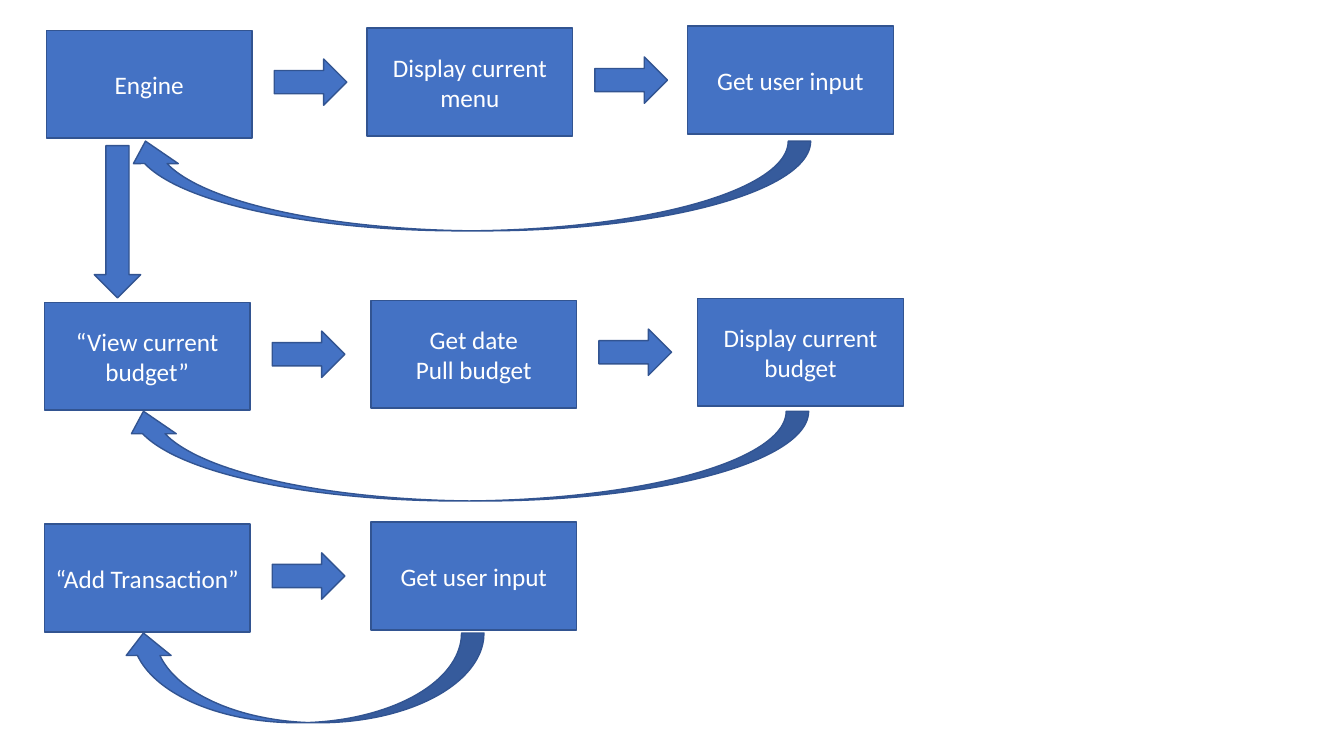
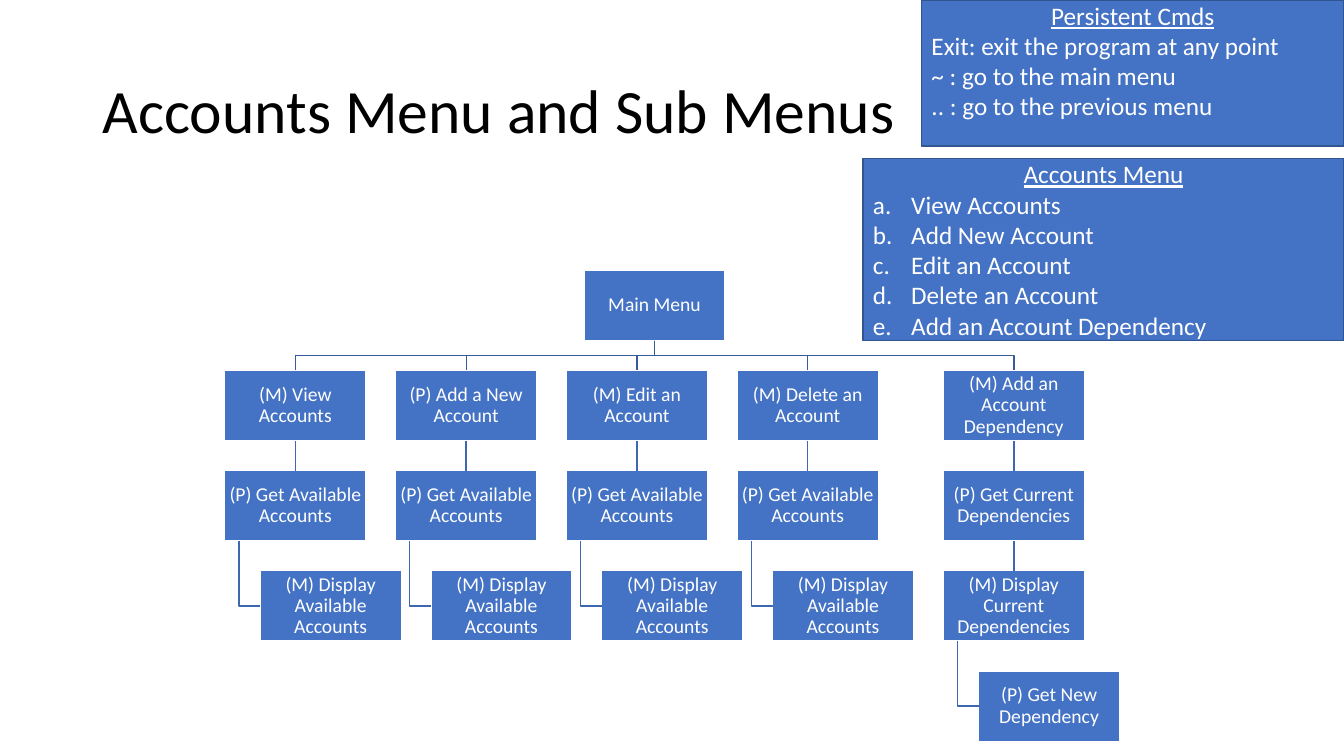
"""Build two slides: the budget program flow and the accounts menu tree."""
from lxml import etree
from pptx import Presentation
from pptx.dml.color import RGBColor
from pptx.enum import shapes, text
from pptx.oxml import ns
from pptx.util import Inches, Pt

FONT = "Calibri"
BLUE = RGBColor(0x44, 0x72, 0xC4)
OUTLINE = RGBColor(0x32, 0x54, 0x91)
BUS_LINE = RGBColor(0x36, 0x5B, 0x9D)
BRANCH_LINE = RGBColor(0x3E, 0x67, 0xB2)
WHITE = RGBColor(0xFF, 0xFF, 0xFF)
BLACK = RGBColor(0, 0, 0)
RECTANGLE = shapes.MSO_SHAPE.RECTANGLE
RIGHT_ARROW = shapes.MSO_SHAPE.RIGHT_ARROW
LOOP_ARROW = shapes.MSO_SHAPE.CURVED_DOWN_ARROW
CENTER, LEFT = text.PP_ALIGN.CENTER, text.PP_ALIGN.LEFT

FLOWS = [
    {"left": 0.46, "top": 0.3, "pitch": 3.18, "loop": (1.22, 1.4, 6.82, 0.89),
     "steps": [["Engine"], ["Display current menu"], ["Get user input"]]},
    {"left": 0.44, "top": 3, "pitch": 3.24, "loop": (1.2, 4.08, 6.82, 0.89),
     "steps": [["“View current budget”"], ["Get date", "Pull budget"],
               ["Display current budget"]]},
    {"left": 0.44, "top": 5.2, "pitch": 3.24, "loop": (1.2, 6.28, 3.6, 0.89),
     "steps": [["“Add Transaction”"], ["Get user input"]]},
]
STEP_W, STEP_H, STEP_RISE = 2.04, 1.07, 0.02
ARROW_W, ARROW_H, ARROW_GAP = 0.72, 0.46, 0.22
DOWN_ARROW = (0.41, 1.97, 1.51, 0.46)

TITLE = "Accounts Menu and Sub Menus"
TITLE_PLACE = (0.92, 0.4, 11.5, 1.45)
COMMANDS = ["Persistent Cmds", "Exit: exit the program at any point",
            "~ : go to the main menu", ".. : go to the previous menu"]
COMMANDS_PLACE = (9.14, 0, 4.19, 1.45)
ACCOUNTS = ["Accounts Menu", "View Accounts", "Add New Account",
            "Edit an Account", "Delete an Account", "Add an Account Dependency"]
ACCOUNTS_PLACE = (8.56, 1.57, 4.77, 1.81)

AVAILABLE = ["(P) Get Available Accounts", "(M) Display Available Accounts"]
ROOT = "Main Menu"
BRANCHES = [
    ["(M) View Accounts", *AVAILABLE],
    ["(P) Add a New Account", *AVAILABLE],
    ["(M) Edit an Account", *AVAILABLE],
    ["(M) Delete an Account", *AVAILABLE],
    ["(M) Add an Account Dependency", "(P) Get Current Dependencies",
     "(M) Display Current Dependencies", "(P) Get New Dependency"],
]
TREE_LEFT, TREE_TOP = 2.23, 2.68
NODE_W, NODE_H = 1.4, 0.7
NODE_GAP = 0.21 * NODE_W
HANG_INDENT = 0.25 * NODE_W
STEM_INSET = 0.1 * NODE_W


def inches(values):
    """Turn plain numbers into lengths."""
    return [Inches(value) for value in values]


def apply(target, **formats):
    """Set each given attribute on the target."""
    for name, value in formats.items():
        setattr(target, name, value)


def write(shape, lines, size=18, color=WHITE, align=CENTER, spacing=None, **frame_formats):
    """Fill a shape with one paragraph for each line."""
    frame = shape.text_frame
    apply(frame, word_wrap=True, **{"vertical_anchor": text.MSO_ANCHOR.MIDDLE, **frame_formats})
    frame.text = "\n".join(lines)
    for paragraph in frame.paragraphs:
        apply(paragraph, alignment=align, line_spacing=spacing)
        font = paragraph.runs[0].font
        apply(font, name=FONT, size=Pt(size))
        font.color.rgb = color


def add_block(slide, kind, place, outline=OUTLINE):
    """Add a blue preset shape."""
    shape = slide.shapes.add_shape(kind, *inches(place))
    shape.shadow.inherit = False
    shape.fill.solid()
    shape.fill.fore_color.rgb = BLUE
    shape.line.color.rgb = outline
    shape.line.width = Pt(1)
    return shape


def add_panel(slide, place, lines, lettered=False, **frame_formats):
    """Add a box with an underlined heading over left-aligned lines."""
    panel = add_block(slide, RECTANGLE, place)
    write(panel, lines, align=LEFT, **frame_formats)
    heading, *items = panel.text_frame.paragraphs
    heading.alignment = CENTER
    heading.runs[0].font.underline = True
    if lettered:
        for paragraph in items:
            properties = paragraph._p.get_or_add_pPr()
            properties.set("marL", str(Inches(0.38)))
            properties.set("indent", str(-Inches(0.38)))
            etree.SubElement(properties, ns.qn("a:buAutoNum"), type="alphaLcPeriod")


def add_node(slide, left, row, label):
    """Add one box of the menu tree."""
    top = TREE_TOP + row * (NODE_H + NODE_GAP)
    node = add_block(slide, RECTANGLE, (left, top, NODE_W, NODE_H), WHITE)
    margins = {f"margin_{side}": Inches(0.01) for side in ("left", "top", "right", "bottom")}
    write(node, [label], size=14, spacing=0.9, **margins)
    return node


def add_bend(slide, points, color):
    """Draw an open line with right-angled bends."""
    builder = slide.shapes.build_freeform(*points[0])
    builder.add_line_segments(points[1:], close=False)
    bend = builder.convert_to_shape()
    bend.shadow.inherit = False
    bend.fill.background()
    bend.line.color.rgb = color
    bend.line.width = Pt(1)


def join_down(slide, upper, lower):
    """Join two stacked boxes with a straight line."""
    line = slide.shapes.add_connector(shapes.MSO_CONNECTOR.STRAIGHT, 0, 0, 0, 0)
    line.begin_connect(upper, 2)
    line.end_connect(lower, 0)
    line.line.color.rgb = BRANCH_LINE
    line.line.width = Pt(1)
    etree.SubElement(line._element.spPr, ns.qn("a:effectLst"))


def hang(slide, upper, lower):
    """Join a box to the indented box below it."""
    x = upper.left + Inches(STEM_INSET)
    y = lower.top + lower.height // 2
    add_bend(slide, [(x, upper.top + upper.height), (x, y), (lower.left, y)], BRANCH_LINE)


def fan_out(slide, root, child):
    """Join the root to the first box of a branch."""
    start_x, end_x = (node.left + node.width // 2 for node in (root, child))
    start_y = root.top + root.height
    middle_y = (start_y + child.top) // 2
    add_bend(slide, [(start_x, start_y), (start_x, middle_y),
                     (end_x, middle_y), (end_x, child.top)], BUS_LINE)


def build_flow(slide):
    """Lay out the rows of steps with their arrows."""
    for flow in FLOWS:
        for index, lines in enumerate(flow["steps"]):
            left = flow["left"] + index * flow["pitch"]
            top = flow["top"] - index * STEP_RISE
            write(add_block(slide, RECTANGLE, (left, top, STEP_W, STEP_H)), lines)
            if index < len(flow["steps"]) - 1:
                add_block(slide, RIGHT_ARROW, (left + STEP_W + ARROW_GAP,
                                               top + (STEP_H - ARROW_H) / 2 - STEP_RISE,
                                               ARROW_W, ARROW_H))
        add_block(slide, LOOP_ARROW, flow["loop"]).rotation = 180
    add_block(slide, RIGHT_ARROW, DOWN_ARROW).rotation = 90


def build_tree(slide):
    """Lay out the menu tree below its root."""
    pitch = NODE_W + NODE_GAP
    lefts = [TREE_LEFT + index * pitch for index in range(len(BRANCHES))]
    lefts[-1] += HANG_INDENT
    root = add_node(slide, (lefts[0] + lefts[-1]) / 2, 0, ROOT)
    for left, labels in zip(lefts, BRANCHES):
        *stack, last = labels
        nodes = [add_node(slide, left, row, label) for row, label in enumerate(stack, 1)]
        fan_out(slide, root, nodes[0])
        for upper, lower in zip(nodes, nodes[1:]):
            join_down(slide, upper, lower)
        hang(slide, nodes[-1], add_node(slide, left + HANG_INDENT, len(labels), last))


def build_menus(slide):
    """Place the title, the two panels and the tree."""
    title = slide.shapes.add_textbox(*inches(TITLE_PLACE))
    write(title, [TITLE], size=44, color=BLACK, align=LEFT, spacing=0.9)
    add_panel(slide, COMMANDS_PLACE, COMMANDS,
              vertical_anchor=text.MSO_ANCHOR.TOP, margin_top=0)
    build_tree(slide)
    add_panel(slide, ACCOUNTS_PLACE, ACCOUNTS, lettered=True)


def main():
    """Build and save the presentation."""
    presentation = Presentation()
    apply(presentation, slide_width=Inches(13.33), slide_height=Inches(7.5))
    for build in (build_flow, build_menus):
        build(presentation.slides.add_slide(presentation.slide_layouts[6]))
    presentation.save("out.pptx")


if __name__ == "__main__":
    main()
